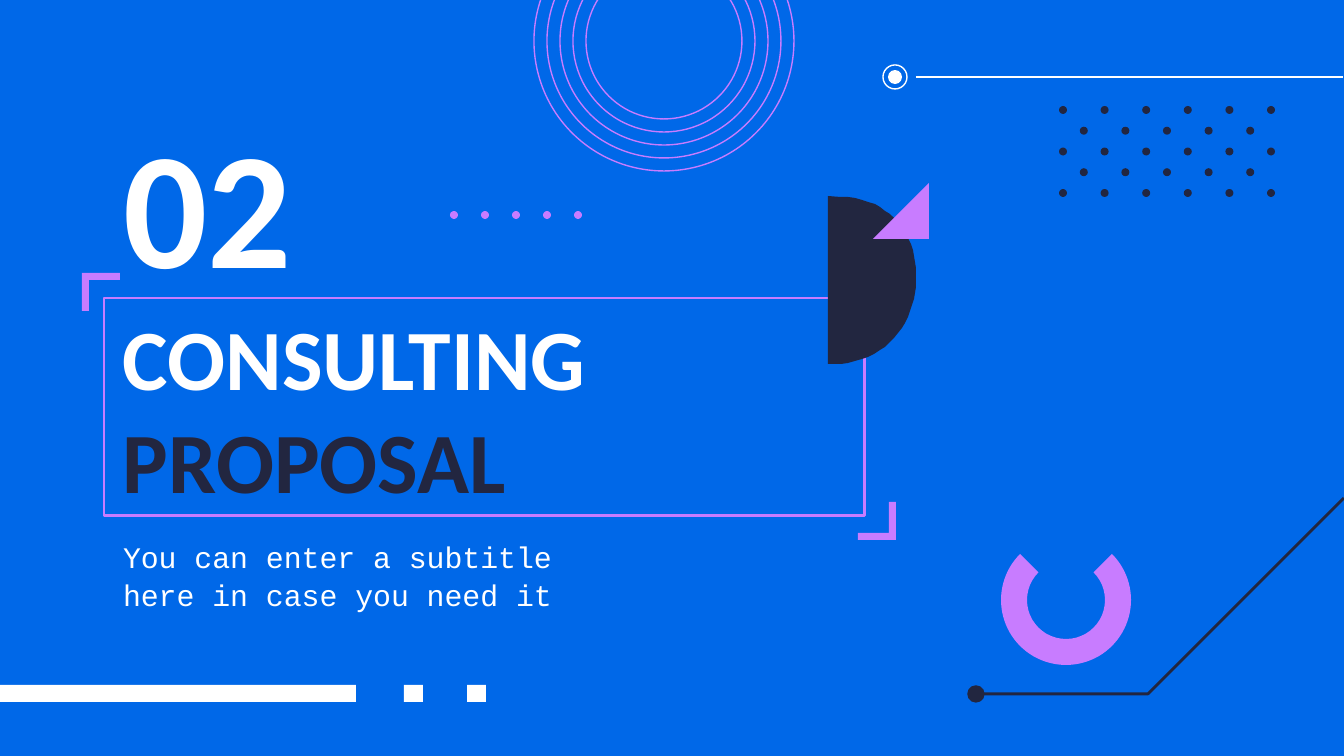
from pptx import Presentation
from pptx.dml.color import RGBColor
from pptx.enum.shapes import MSO_CONNECTOR, MSO_SHAPE
from pptx.enum.text import MSO_ANCHOR
from pptx.oxml.ns import qn
from pptx.util import Pt
from lxml import etree

WIDTH, HEIGHT = 1344, 756
SCALE = 9144000 / WIDTH
RECT, OVAL, ARC = MSO_SHAPE.RECTANGLE, MSO_SHAPE.OVAL, MSO_SHAPE.BLOCK_ARC
STRAIGHT = MSO_CONNECTOR.STRAIGHT
TOP, MIDDLE = MSO_ANCHOR.TOP, MSO_ANCHOR.MIDDLE
BLUE, NAVY, PINK, WHITE = "0068E8", "222640", "C87CFF", "FFFFFF"
SANS, MONO = "Calibri", "Courier New"


def px(n):
    return round(n * SCALE)


def tint(hue):
    return RGBColor.from_string(hue)


def paint(shape, fill=None, line=None, width=0.75):
    shape.shadow.inherit = False
    if fill:
        shape.fill.solid()
        shape.fill.fore_color.rgb = tint(fill)
    else:
        shape.fill.background()
    if line:
        shape.line.color.rgb = tint(line)
        shape.line.width = Pt(width)
    else:
        shape.line.fill.background()
    return shape


def block(slide, kind, box, **look):
    shape = slide.shapes.add_shape(kind, *map(px, box))
    return paint(shape, **look)


def disc(slide, x, y, r, **look):
    """Circle given by its centre and radius."""
    return block(slide, OVAL, (x - r, y - r, 2 * r, 2 * r), **look)


def outline(slide, x, y, points, close=True, **look):
    """Freeform whose points are relative to x, y."""
    pen = slide.shapes.build_freeform(*points[0], scale=SCALE)
    pen.add_line_segments(points[1:], close=close)
    return paint(pen.convert_to_shape(px(x), px(y)), **look)


def write(slide, box, runs, anchor, space=1.0, **style):
    """Text box; runs are pairs of words and hue."""
    frame = slide.shapes.add_textbox(*map(px, box)).text_frame
    inset = px(13)
    layout = {"word_wrap": True, "vertical_anchor": anchor,
              "margin_left": inset, "margin_right": inset,
              "margin_top": inset, "margin_bottom": inset}
    for name, value in layout.items():
        setattr(frame, name, value)
    para = frame.paragraphs[0]
    para.line_spacing = space
    for words, hue in runs:
        run = para.add_run()
        run.text = words
        for name, value in style.items():
            setattr(run.font, name, value)
        run.font.color.rgb = tint(hue)


def bars(slide, box):
    x, y, w, h = box
    for left, wide in ((0, 356), (w - 82, 19), (w - 19, 19)):
        block(slide, RECT, (x + left, y, wide, h), fill=WHITE)


def track(slide, box):
    """Bent line with a knob at its lower left end."""
    x, y, w, h = box
    disc(slide, x, y + h, 8, fill=NAVY, line=NAVY)
    outline(slide, x, y, [(0, h), (w - h, h), (w, 0)],
            close=False, line=NAVY, width=1.5)


def mesh(slide, box):
    """Five staggered rows of dots."""
    x, y, w, h = box
    for row in range(5):
        for col in range(row % 2, 11, 2):
            disc(slide, x + col * w / 10, y + row * h / 4, 4, fill=NAVY)


def rings(slide, box):
    x, y, w, h = box
    for r in range(w // 2, w // 4, -13):
        disc(slide, x + w / 2, y + h / 2, r, line=PINK)


def target(slide, box):
    """Ringed dot followed by a line to the right."""
    x, y, w, h = box
    mid, r = y + h / 2, h / 2
    rule = slide.shapes.add_connector(
        STRAIGHT, px(x + 33), px(mid), px(x + w), px(mid))
    rule.line.color.rgb = tint(WHITE)
    rule.line.width = Pt(1)
    etree.SubElement(rule._element.spPr, qn("a:effectLst"))
    disc(slide, x + r, mid, 7, fill=WHITE)
    disc(slide, x + r, mid, r, line=WHITE)


def shoe(slide, box):
    """Thick arc, open at the top."""
    arc = block(slide, ARC, box, fill=PINK)
    # Angles count in units of 100000 / 60000 degrees
    for i, value in enumerate((315 * 0.6, 225 * 0.6, 0.2)):
        arc.adjustments[i] = value


def frame(slide, box):
    """Outlined box with a bracket off two corners."""
    x, y, w, h = box
    block(slide, RECT, box, line=PINK, width=1.5)
    hook = [(0, 0), (38, 0), (38, 7), (7, 7), (7, 38), (0, 38)]
    for left, top, sign in ((x - 22, y - 25, 1), (x + w + 31, y + h + 24, -1)):
        points = [(sign * a, sign * b) for a, b in hook]
        outline(slide, left, top, points, fill=PINK)


def trail(slide, box):
    x, y, w, h = box
    for i in range(5):
        disc(slide, x + i * w / 4, y + h / 2, h / 2, fill=PINK)


def bezier(a, b, c, d, steps=40):
    for i in range(steps + 1):
        t = i / steps
        s = 1 - t
        yield tuple(s**3 * p + 3 * s * s * t * q + 3 * s * t * t * u + t**3 * v
                    for p, q, u, v in zip(a, b, c, d))


def badge(slide, box):
    """Half disc with a triangle over its upper right."""
    x, y, w, h = box
    curve = bezier((5, h), (112, h), (118, 1), (12, 1))
    outline(slide, x, y, [(0, 0), (0, h), *curve], fill=NAVY)
    outline(slide, x + w - 43, y - 13, [(56, 0), (0, 56), (56, 56)], fill=PINK)


def texts(slide, box):
    x, y, w, h = box
    write(slide, (x, y + 187, w, 183),
          [("CONSULTING ", WHITE), ("PROPOSAL", NAVY)], MIDDLE,
          name=SANS, size=Pt(46), bold=True)
    write(slide, (x, y + h - 104, 540, 104),
          [("You can enter a subtitle here in case you need it", WHITE)], TOP,
          space=1.07, name=MONO, size=Pt(16))
    write(slide, (x, y, 357, 146), [("02", WHITE)], MIDDLE,
          name=SANS, size=Pt(89), bold=True)


def main():
    deck = Presentation()
    deck.slide_width, deck.slide_height = px(WIDTH), px(HEIGHT)
    slide = deck.slides.add_slide(deck.slide_layouts[6])
    back = slide.background.fill
    back.solid()
    back.fore_color.rgb = tint(BLUE)
    parts = (
        (bars, (0, 685, 486, 17)),
        (track, (976, 498, 368, 196)),
        (mesh, (1063, 110, 208, 83)),
        (rings, (534, -89, 260, 260)),
        (target, (883, 65, 460, 24)),
        (shoe, (1001, 535, 130, 130)),
        (texts, (110, 129, 821, 498)),
        (frame, (104, 298, 761, 218)),
        (trail, (454, 211, 124, 8)),
        (badge, (828, 196, 88, 168)),
    )
    for draw, box in parts:
        draw(slide, box)
    deck.save("out.pptx")


if __name__ == "__main__":
    main()
